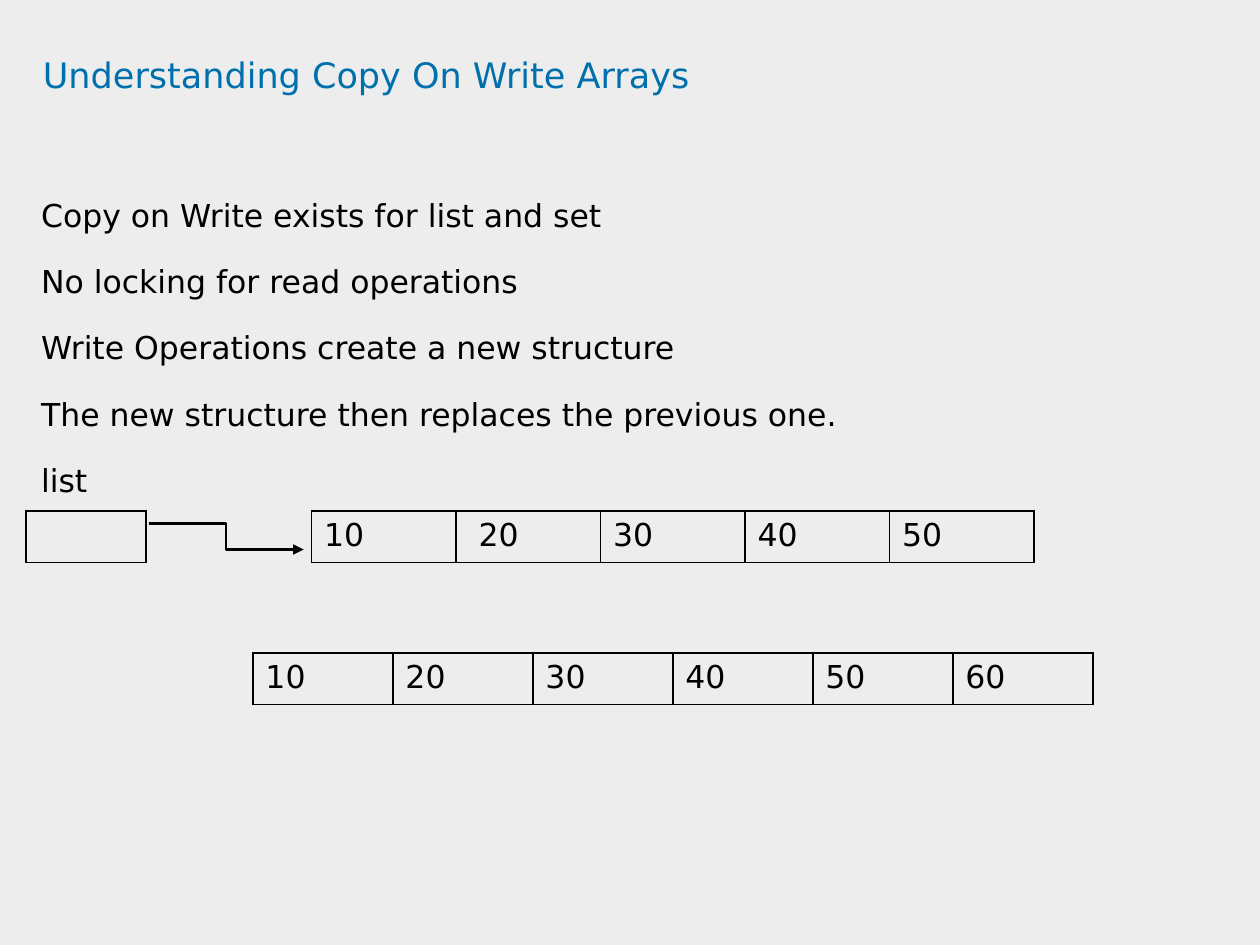
"""Build a slide on how copy-on-write arrays replace their structure."""
from lxml import etree
from pptx import Presentation
from pptx.dml.color import RGBColor
from pptx.enum import shapes, text
from pptx.oxml import ns
from pptx.util import Pt

BLACK = RGBColor(0, 0, 0)
BLUE = RGBColor(0x00, 0x70, 0xAD)
GREY = RGBColor(0xED, 0xED, 0xED)
FONT = "DejaVu Sans"


def write(para, words, size, color):
    run = para.add_run()
    run.text = words
    run.font.name = FONT
    run.font.size = Pt(size)
    run.font.color.rgb = color


def place(shape, left, top, width, height):
    shape.left, shape.top = Pt(left), Pt(top)
    shape.width, shape.height = Pt(width), Pt(height)
    frame = shape.text_frame
    frame.margin_left = frame.margin_right = 0
    frame.margin_top = frame.margin_bottom = 0
    frame.vertical_anchor = text.MSO_ANCHOR.TOP
    frame.auto_size = text.MSO_AUTO_SIZE.NONE
    frame.word_wrap = True
    return frame


deck = Presentation()
deck.slide_width, deck.slide_height = Pt(720), Pt(540)
slide = deck.slides.add_slide(deck.slide_layouts[1])
slide.background.fill.solid()
slide.background.fill.fore_color.rgb = GREY

title = place(slide.shapes.title, 24.5, 33, 654.5, 67.5).paragraphs[0]
title.alignment = text.PP_ALIGN.LEFT
title.line_spacing = 0.9
write(title, "Understanding Copy On Write Arrays", 20, BLUE)

body = place(slide.placeholders[1], 23.5, 101, 696.5, 383)
points = [
    "Copy on Write exists for list and set",
    "No locking for read operations",
    "Write Operations create a new structure",
    "The new structure then replaces the previous one.",
    "list",
]
for n, point in enumerate(points):
    para = body.paragraphs[0] if n == 0 else body.add_paragraph()
    props = para._p.get_or_add_pPr()
    props.set("marL", "0")
    props.set("indent", "0")
    etree.SubElement(props, ns.qn("a:buNone"))
    para.line_spacing = 1.5
    para.space_before = Pt(1 if n else 0)
    para.space_after = Pt(4.5)
    write(para, point, 18, BLACK)

grids = [
    (178, 292, 82.6, ["10", " 20", "30", "40", "50"]),
    (144.5, 373, 80, ["10", "20", "30", "40", "50", "60"]),
    (15, 292, 68.4, [""]),
]
for left, top, wide, items in grids:
    frame = slide.shapes.add_table(
        1, len(items), Pt(left), Pt(top), Pt(wide * len(items)), Pt(29.5))
    table = frame.table
    table.first_row = table.horz_banding = False
    for n, item in enumerate(items):
        table.columns[n].width = Pt(wide)
        cell = table.cell(0, n)
        props = cell._tc.get_or_add_tcPr()
        for side in ("lnL", "lnR", "lnT", "lnB"):
            edge = etree.SubElement(props, ns.qn("a:" + side), w=str(Pt(1)))
            fill = etree.SubElement(edge, ns.qn("a:solidFill"))
            etree.SubElement(fill, ns.qn("a:srgbClr"), val=str(BLACK))
        cell.fill.background()
        para = cell.text_frame.paragraphs[0]
        if item:
            write(para, item, 18, BLACK)
        else:
            para.font.size = Pt(18)

arrow = slide.shapes.add_connector(
    shapes.MSO_CONNECTOR.ELBOW, Pt(85), Pt(299), Pt(173.5), Pt(314))
arrow.line.color.rgb = BLACK
arrow.line.width = Pt(1.5)
etree.SubElement(arrow.line._get_or_add_ln(), ns.qn("a:tailEnd"), type="triangle")
etree.SubElement(arrow._element.spPr, ns.qn("a:effectLst"))

deck.save("out.pptx")
